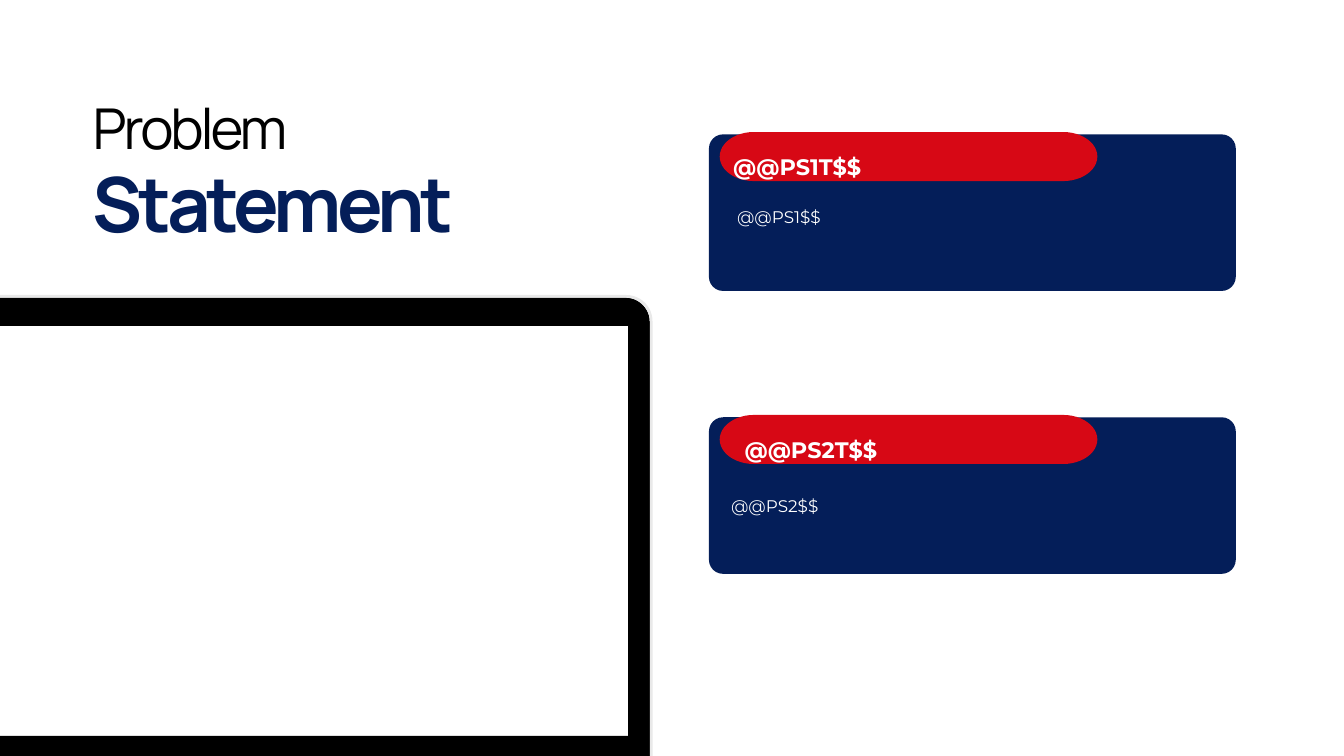
from math import cos, radians, sin

from pptx import Presentation
from pptx.dml.color import RGBColor
from pptx.enum.shapes import MSO_SHAPE
from pptx.enum.text import MSO_AUTO_SIZE, PP_ALIGN
from pptx.util import Inches, Pt

NAVY, RED, BLACK, WHITE, GREY = "041E59", "D70815", "000000", "FFFFFF", "E9E9E9"
hex_color = RGBColor.from_string

presentation = Presentation()
presentation.slide_width = Inches(20)
presentation.slide_height = Inches(11.25)
slide = presentation.slides.add_slide(presentation.slide_layouts[6])


def corner(center_x, center_y, radius_x, radius_y, start):
    """Points of a quarter ellipse, clockwise from the start angle."""
    angles = [radians(start + step * 7.5) for step in range(13)]
    return [(center_x + radius_x * cos(a), center_y + radius_y * sin(a)) for a in angles]


def add_outline(contours, fill):
    """Add one filled freeform made of closed contours given in inches."""
    builder = None
    for contour in contours:
        points = [(Inches(x), Inches(y)) for x, y in contour]
        if builder is None:
            builder = slide.shapes.build_freeform(*points[0], scale=1.0)
        else:
            builder.move_to(*points[0])
        builder.add_line_segments(points[1:], close=True)
    shape = builder.convert_to_shape()
    shape.shadow.inherit = False
    shape.fill.solid()
    shape.fill.fore_color.rgb = hex_color(fill)
    shape.line.fill.background()


# Laptop: black bezel around the display, then the grey rim with its base
display = [(-0.42, 4.84), (9.35, 4.84), (9.35, 10.95), (-0.42, 10.95)]
bezel = [(-0.74, 11.41), *corner(-0.38, 4.79, 0.36, 0.36, 180),
         *corner(9.31, 4.79, 0.36, 0.36, 270), (9.67, 11.41)]
rim = [(-1.97, 11.41), (-0.77, 11.41), *corner(-0.38, 4.78, 0.39, 0.39, 180),
       *corner(9.32, 4.78, 0.39, 0.39, 270), (9.71, 11.41), (10.91, 11.41),
       *corner(10.76, 11.57, 0.15, 0.15, 0), *corner(-1.82, 11.57, 0.15, 0.15, 90)]
add_outline([bezel, display], BLACK)
add_outline([rim, bezel], GREY)

screen = slide.shapes.add_shape(
    MSO_SHAPE.RECTANGLE, Inches(-0.42), Inches(4.84), Inches(9.78), Inches(6.12))
screen.shadow.inherit = False
screen.fill.background()
screen.line.color.rgb = hex_color(BLACK)
screen.line.width = Pt(1)

# Statement cards, each with a red heading pill over its top edge
for top in (2, 6.21):
    card = slide.shapes.add_shape(
        MSO_SHAPE.ROUNDED_RECTANGLE, Inches(10.55), Inches(top), Inches(7.84), Inches(2.33))
    card.adjustments[0] = 0.09
    card.shadow.inherit = False
    card.fill.solid()
    card.fill.fore_color.rgb = hex_color(NAVY)
    card.line.fill.background()

    middle = top + 0.33
    pill = [point for center_x, start in ((11.22, 180), (15.82, 270), (15.82, 0), (11.22, 90))
            for point in corner(center_x, middle, 0.51, 0.365, start)]
    add_outline([pill], RED)

# Title and card texts
title = {"name": "Manrope", "size": Pt(60.3), "bold": False}
title_strong = {"name": "Manrope", "size": Pt(81.4), "bold": True}
heading = {"name": "Montserrat", "size": Pt(24), "bold": True}
body = {"name": "Montserrat", "size": Pt(18), "bold": False}
LEFT, JUSTIFY = PP_ALIGN.LEFT, PP_ALIGN.JUSTIFY
texts = [
    # text, (left, top, width, height), format, colour, line spacing, tracking, alignment
    ("Problem", (1.38, 1.52, 3.61, 0.96), title, BLACK, 62.7, -3.3, LEFT),
    ("Statement", (1.38, 2.51, 5.72, 1.3), title_strong, NAVY, 84.7, -4.5, LEFT),
    ("@@PS1$$", (10.97, 3.02, 7.24, 0.7), body, WHITE, 26, 0, JUSTIFY),
    ("@@PS1T$$", (10.91, 2.07, 5.09, 0.55), heading, WHITE, 43.5, 0, LEFT),
    ("@@PS2T$$", (11.08, 6.28, 4.92, 0.55), heading, WHITE, 43.5, 0, LEFT),
    ("@@PS2$$", (10.88, 7.31, 7.24, 0.7), body, WHITE, 26, 0, JUSTIFY),
]
for text, box, font_format, color, spacing, tracking, alignment in texts:
    frame = slide.shapes.add_textbox(*map(Inches, box)).text_frame
    frame.word_wrap = True
    frame.auto_size = MSO_AUTO_SIZE.SHAPE_TO_FIT_TEXT
    for side in ("left", "top", "right", "bottom"):
        setattr(frame, f"margin_{side}", 0)
    paragraph = frame.paragraphs[0]
    paragraph.alignment = alignment
    paragraph.line_spacing = Pt(spacing)
    run = paragraph.add_run()
    run.text = text
    for attribute, value in font_format.items():
        setattr(run.font, attribute, value)
    run.font.color.rgb = hex_color(color)
    if tracking:
        run.font._element.set("spc", str(round(tracking * 100)))

presentation.save("out.pptx")
